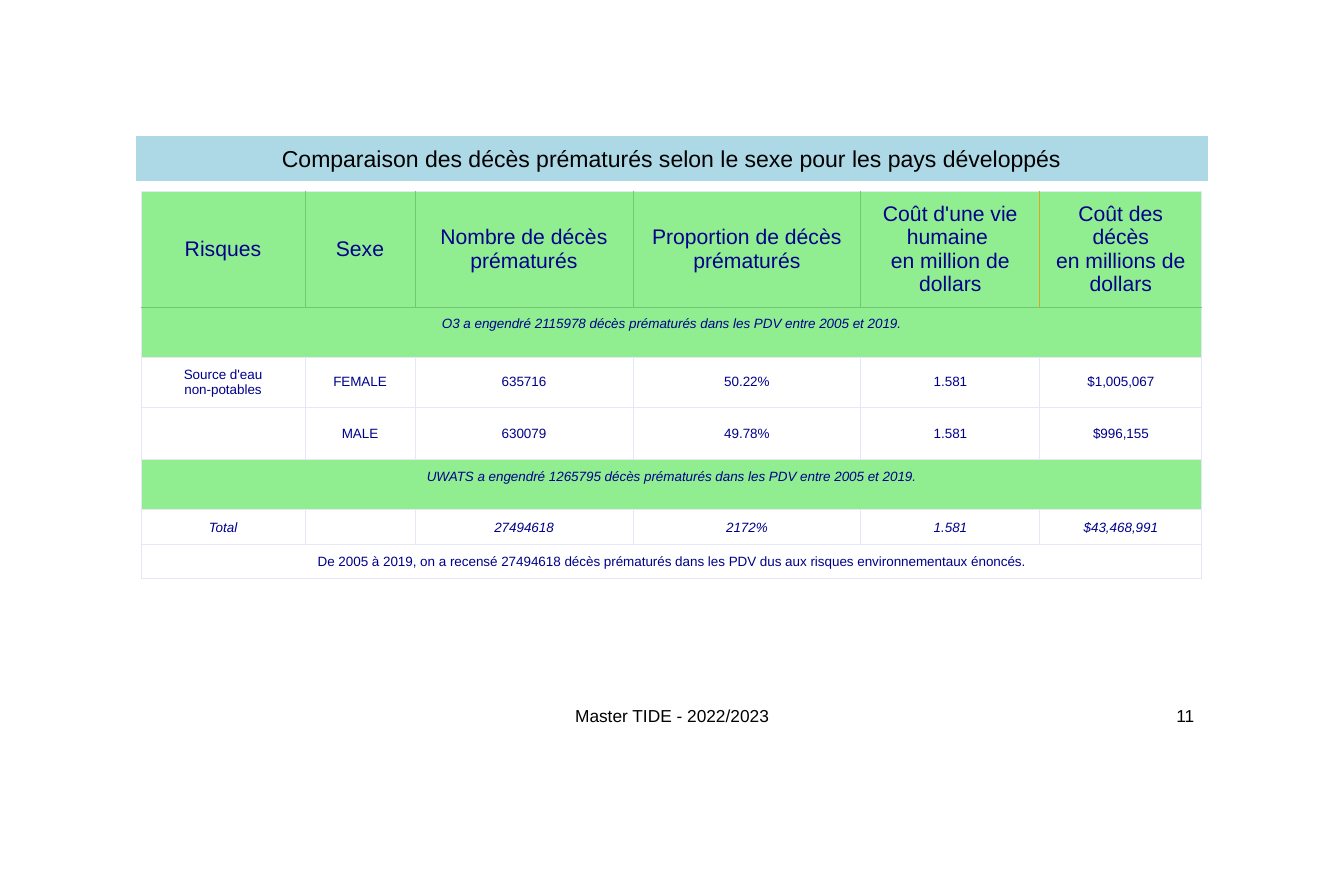
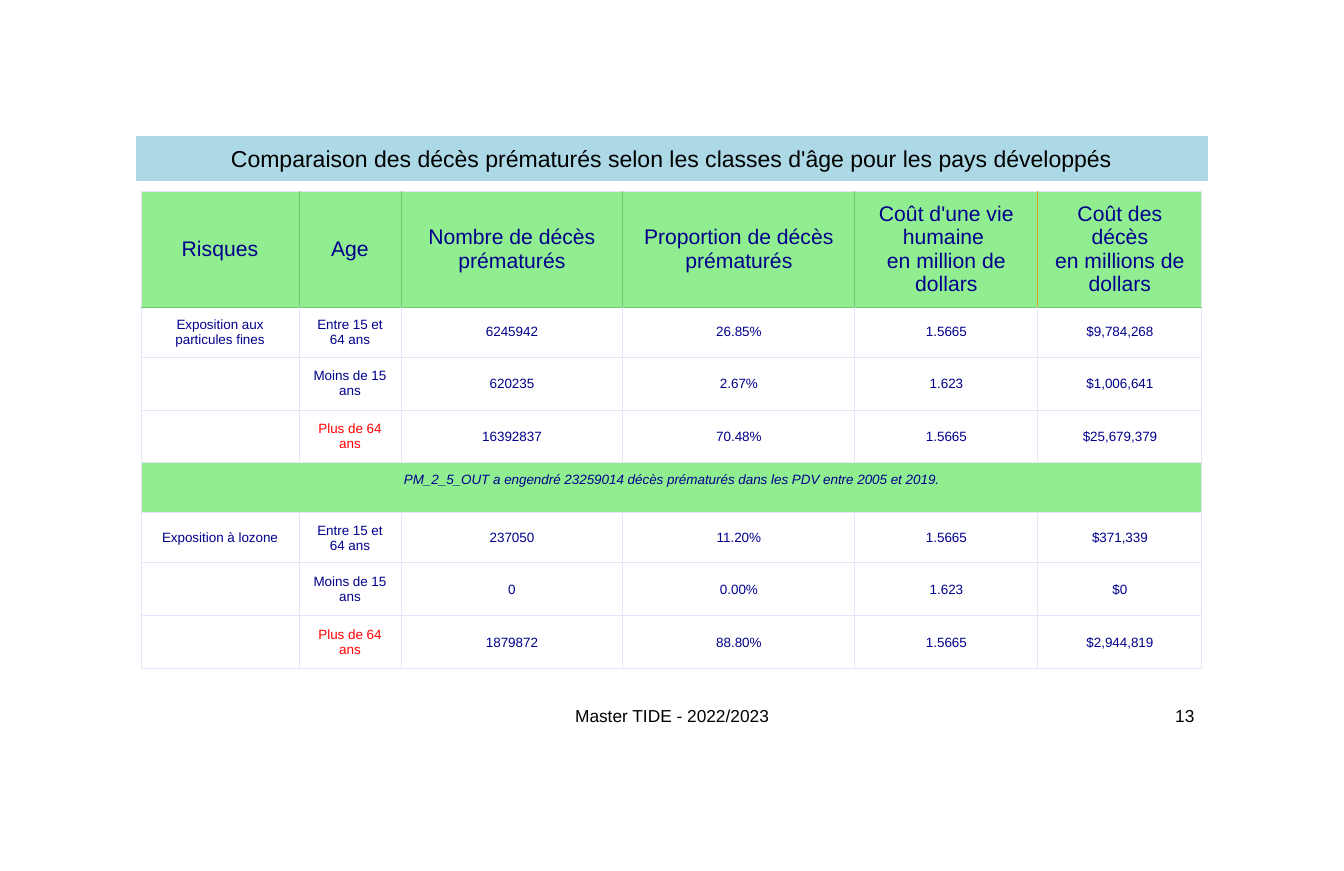
from lxml import etree
from pptx import Presentation
from pptx.dml.color import RGBColor
from pptx.enum.text import MSO_ANCHOR, PP_ALIGN
from pptx.oxml.ns import qn
from pptx.util import Pt

TOP, MIDDLE = MSO_ANCHOR.TOP, MSO_ANCHOR.MIDDLE
CENTER, RIGHT = PP_ALIGN.CENTER, PP_ALIGN.RIGHT

EMU_PER_PX = 6612
SLIDE_SIZE = (1344, 871)
TITLE_BOX = (136, 136, 1072, 45)
FOOTER_BOX = (404, 696, 536, 39)
NUMBER_BOX = (940, 696, 268, 39)
TABLE_LEFT, TABLE_TOP = 141, 191
CELL_MARGIN, SUMMARY_MARGIN = 7, 9

FONT = "Arial"
BLACK, NAVY, RED = "000000", "00008B", "FF0000"
BAND, GREEN = "ADD8E6", "90EE90"
GRID, HEADER_GRID, GOLD = "E6E6FA", "70C870", "DAA520"
BORDER_PT = 0.5
FOOTER = "Master TIDE - 2022/2023"

HEADER, GROUP, DETAIL, SUMMARY, TOTAL, NOTE = range(6)
ROW_HEIGHTS = {HEADER: 116, GROUP: 50, DETAIL: 53, SUMMARY: 50, TOTAL: 35, NOTE: 34}
GREEN_ROWS = (HEADER, SUMMARY)
ITALIC_ROWS = (SUMMARY, TOTAL)
OLDEST = "Plus de 64\vans"

COMMON_HEADINGS = (
    "Nombre de décès\vprématurés",
    "Proportion de décès\vprématurés",
    "Coût d'une vie\vhumaine \ven million de\vdollars",
    "Coût des\vdécès\ven millions de\vdollars",
)

SLIDES = [
    {
        "title": "Comparaison des décès prématurés selon le sexe pour les pays développés",
        "number": "11",
        "columns": (164, 110, 218, 228, 179, 162),
        "rows": [
            (HEADER, ("Risques", "Sexe") + COMMON_HEADINGS),
            (SUMMARY, ("O3 a engendré 2115978 décès prématurés dans les PDV entre 2005 et 2019.",)),
            (GROUP, ("Source d'eau\vnon-potables", "FEMALE", "635716", "50.22%", "1.581", "$1,005,067")),
            (DETAIL, ("", "MALE", "630079", "49.78%", "1.581", "$996,155")),
            (SUMMARY, ("UWATS a engendré 1265795 décès prématurés dans les PDV entre 2005 et 2019.",)),
            (TOTAL, ("Total", "", "27494618", "2172%", "1.581", "$43,468,991")),
            (NOTE, ("De 2005 à 2019, on a recensé 27494618 décès prématurés dans les PDV "
                    "dus aux risques environnementaux énoncés.",)),
        ],
    },
    {
        "title": "Comparaison des décès prématurés selon les classes d'âge pour les pays développés",
        "number": "13",
        "columns": (158, 102, 222, 232, 183, 164),
        "rows": [
            (HEADER, ("Risques", "Age") + COMMON_HEADINGS),
            (GROUP, ("Exposition aux\vparticules fines", "Entre 15 et\v64 ans", "6245942",
                     "26.85%", "1.5665", "$9,784,268")),
            (DETAIL, ("", "Moins de 15\vans", "620235", "2.67%", "1.623", "$1,006,641")),
            (DETAIL, ("", OLDEST, "16392837", "70.48%", "1.5665", "$25,679,379")),
            (SUMMARY, ("PM_2_5_OUT a engendré 23259014 décès prématurés dans les PDV entre 2005 et 2019.",)),
            (GROUP, ("Exposition à lozone", "Entre 15 et\v64 ans", "237050",
                     "11.20%", "1.5665", "$371,339")),
            (DETAIL, ("", "Moins de 15\vans", "0", "0.00%", "1.623", "$0")),
            (DETAIL, ("", OLDEST, "1879872", "88.80%", "1.5665", "$2,944,819")),
        ],
    },
]


def px(length):
    return length * EMU_PER_PX


def rgb(value):
    return RGBColor.from_string(value)


def set_paragraph(paragraph, size, color, align=CENTER, italic=False):
    paragraph.alignment = align
    font = paragraph.font
    font.name, font.size, font.italic = FONT, Pt(size), italic
    font.bold = False
    font.color.rgb = rgb(color)


def place(shape, box):
    shape.left, shape.top, shape.width, shape.height = map(px, box)


def add_title(slide, text):
    title = slide.shapes.title
    place(title, TITLE_BOX)
    title.fill.solid()
    title.fill.fore_color.rgb = rgb(BAND)
    title.text_frame.text = text
    title.text_frame.vertical_anchor = MIDDLE
    set_paragraph(title.text_frame.paragraphs[0], 12, BLACK)


def add_footer_text(slide, box, text, align):
    frame = slide.shapes.add_textbox(*map(px, box)).text_frame
    frame.word_wrap = True
    frame.vertical_anchor = MIDDLE
    frame.text = text
    set_paragraph(frame.paragraphs[0], 9, BLACK, align)


def set_borders(cell, colors):
    """Draw the left, right, top and bottom edges in the given colours."""
    properties = cell._tc.get_or_add_tcPr()
    for position, (side, color) in enumerate(zip("LRTB", colors)):
        line = etree.Element(qn(f"a:ln{side}"), w=str(Pt(BORDER_PT)))
        fill = etree.SubElement(line, qn("a:solidFill"))
        etree.SubElement(fill, qn("a:srgbClr"), val=color)
        properties.insert(position, line)


def edge_colors(kind, row, column, last):
    """The header has its own inner lines, gold before the last column."""
    if kind != HEADER:
        return GRID, GRID, HEADER_GRID if row == 1 else GRID, GRID
    inner = [GRID] + [HEADER_GRID] * (last - 1) + [GOLD, GRID]
    return inner[column], inner[column + 1], GRID, HEADER_GRID


def format_cell(cell, kind, text):
    cell.text = text
    cell.vertical_anchor = TOP if kind == SUMMARY else MIDDLE
    cell.margin_left = cell.margin_right = cell.margin_bottom = px(CELL_MARGIN)
    cell.margin_top = px(SUMMARY_MARGIN if kind == SUMMARY else CELL_MARGIN)
    if kind in GREEN_ROWS:
        cell.fill.solid()
        cell.fill.fore_color.rgb = rgb(GREEN)
    else:
        cell.fill.background()
    size = 11 if kind == HEADER else 7
    paragraph = cell.text_frame.paragraphs[0]
    set_paragraph(paragraph, size, RED if text == OLDEST else NAVY, italic=kind in ITALIC_ROWS)
    if not text:
        etree.SubElement(paragraph._p, qn("a:endParaRPr"), sz=str(size * 100))


def add_deaths_table(slide, columns, rows):
    heights = [ROW_HEIGHTS[kind] for kind, _ in rows]
    box = (TABLE_LEFT, TABLE_TOP, sum(columns), sum(heights))
    table = slide.shapes.add_table(len(rows), len(columns), *map(px, box)).table
    table.first_row = table.horz_banding = False
    for column, width in zip(table.columns, columns):
        column.width = px(width)
    last = len(columns) - 1
    for r, (kind, texts) in enumerate(rows):
        table.rows[r].height = px(heights[r])
        if len(texts) == 1:
            table.cell(r, 0).merge(table.cell(r, last))
        for c in range(len(columns)):
            cell = table.cell(r, c)
            format_cell(cell, kind, texts[c] if c < len(texts) else "")
            set_borders(cell, edge_colors(kind, r, c, last))


def main():
    deck = Presentation()
    deck.slide_width, deck.slide_height = map(px, SLIDE_SIZE)
    title_only = deck.slide_layouts[5]
    for content in SLIDES:
        slide = deck.slides.add_slide(title_only)
        add_title(slide, content["title"])
        add_deaths_table(slide, content["columns"], content["rows"])
        add_footer_text(slide, FOOTER_BOX, FOOTER, CENTER)
        add_footer_text(slide, NUMBER_BOX, content["number"], RIGHT)
    deck.save("out.pptx")


if __name__ == "__main__":
    main()
